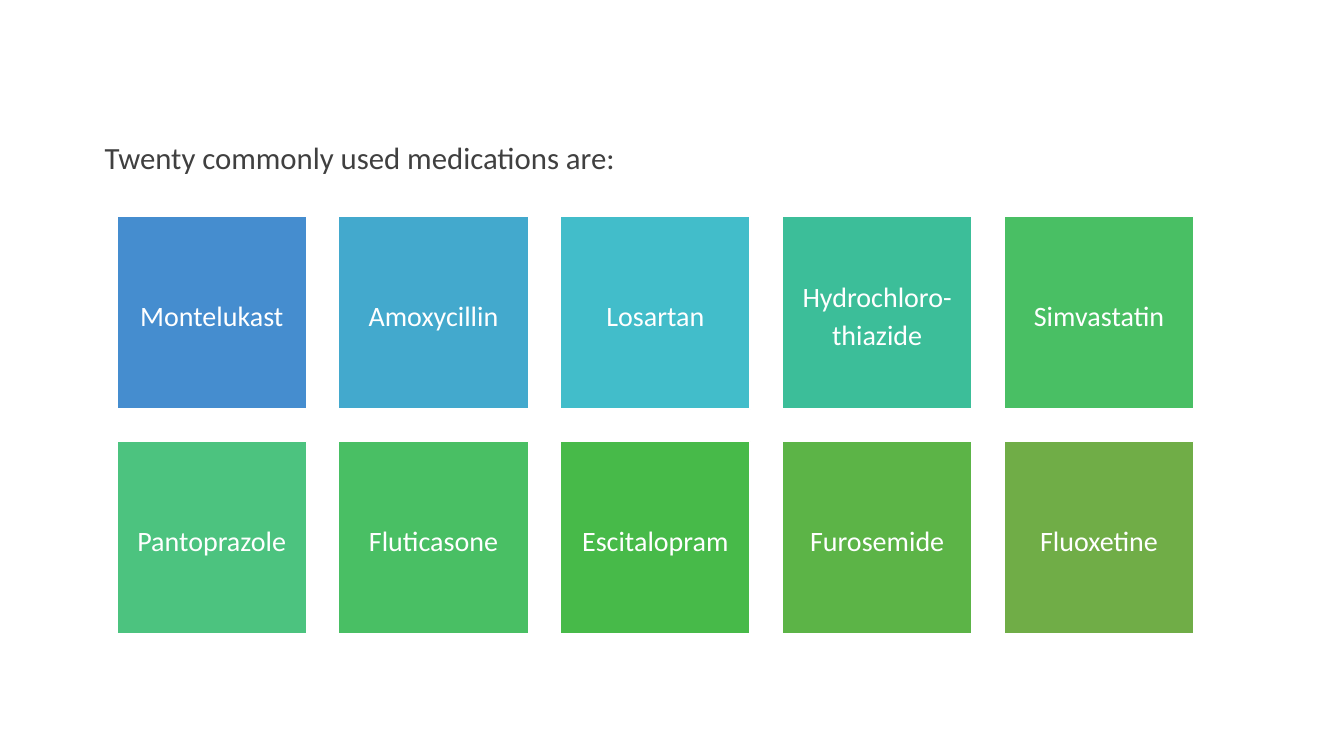
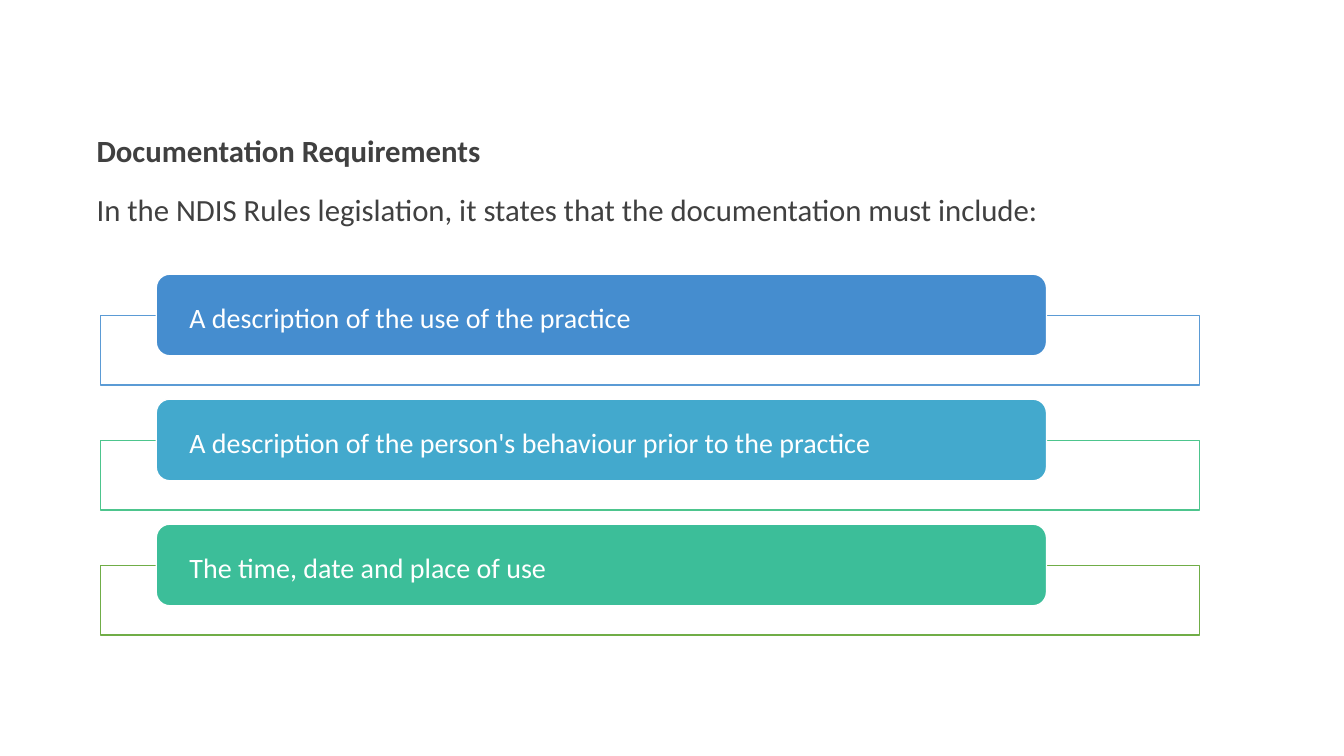
from pptx import Presentation
from pptx.dml.color import RGBColor
from pptx.enum.shapes import MSO_SHAPE
from pptx.enum.text import MSO_ANCHOR, PP_ALIGN
from pptx.util import Pt

RECTANGLE = MSO_SHAPE.RECTANGLE
ROUNDED = MSO_SHAPE.ROUNDED_RECTANGLE
MIDDLE = MSO_ANCHOR.MIDDLE
LEFT, CENTER = PP_ALIGN.LEFT, PP_ALIGN.CENTER

EMU_PER_PX = 9144  # 100 px to the inch
PAGE_WIDTH, PAGE_HEIGHT = 1333, 750
BLANK_LAYOUT = 6

FONT = "Calibri"
WHITE, DARK = "FFFFFF", "404040"
LINE_SPACING = 1.14
BODY = {"size": Pt(22), "name": FONT, "bold": False}
HEADING = {**BODY, "bold": True}
LABEL = {"size": Pt(20), "name": FONT}

MEDICATIONS = [
    ("Montelukast", "458DCF"),
    ("Amoxycillin", "43A9CD"),
    ("Losartan", "42BDCA"),
    ("Hydrochloro-thiazide", "3CBE99"),
    ("Simvastatin", "49BF64"),
    ("Pantoprazole", "4CC37F"),
    ("Fluticasone", "49BF64"),
    ("Escitalopram", "47BA49"),
    ("Furosemide", "5CB447"),
    ("Fluoxetine", "70AD47"),
]
REQUIREMENTS = [
    ("A description of the use of the practice", "458DCF", "5B9BD5"),
    ("A description of the person's behaviour prior to the practice",
     "43A9CD", "4DC58D"),
    ("The time, date and place of use", "3CBE99", "70AD47"),
]


def px(*lengths):
    return [length * EMU_PER_PX for length in lengths]


def rgb(value):
    return RGBColor.from_string(value)


def add_text(para, text, style, color, after, align=LEFT):
    para.alignment = align
    para.line_spacing = LINE_SPACING
    para.space_after = Pt(after)
    span = para.add_run()
    span.text = text
    for name, value in style.items():
        setattr(span.font, name, value)
    span.font.color.rgb = rgb(color)


def add_panel(page, kind, box, fill, line):
    panel = page.shapes.add_shape(kind, *px(*box))
    panel.shadow.inherit = False
    panel.fill.solid()
    panel.fill.fore_color.rgb = rgb(fill)
    panel.line.color.rgb = rgb(line)
    panel.line.width = Pt(1)
    return panel


def add_label(panel, text, align, side, edge):
    """Write white text in a panel, with side and top/bottom insets in px."""
    frame = panel.text_frame
    frame.word_wrap = True
    frame.vertical_anchor = MIDDLE
    frame.margin_left = frame.margin_right = px(side)[0]
    frame.margin_top = frame.margin_bottom = px(edge)[0]
    add_text(frame.paragraphs[0], text, LABEL, WHITE, 6, align)


def add_intro(page, box, lines):
    frame = page.shapes.add_textbox(*px(*box)).text_frame
    frame.word_wrap = True
    for index, (text, style) in enumerate(lines):
        para = frame.add_paragraph() if index else frame.paragraphs[0]
        add_text(para, text, style, DARK, 12)


def add_tile_grid(page, box, items, columns=5, gap_x=32, gap_y=32):
    left, top, width, height = box
    rows = len(items) // columns
    tile_width = (width - gap_x * (columns - 1)) // columns
    tile_height = (height - gap_y * (rows - 1)) // rows
    for index, (text, fill) in enumerate(items):
        row, column = divmod(index, columns)
        tile_box = (left + column * (tile_width + gap_x),
                    top + row * (tile_height + gap_y), tile_width, tile_height)
        tile = add_panel(page, RECTANGLE, tile_box, fill, WHITE)
        add_label(tile, text, CENTER, 8, 8)


def add_requirement_list(page, box, items, pitch=124):
    """Stack outlined frames, each with a rounded bar over its top edge."""
    left, top, width, _ = box
    bar_indent, bar_width, bar_height = 55, 883, 81
    frame_drop, frame_height = 41, 69
    for index, (text, fill, outline) in enumerate(items):
        y = top + index * pitch
        add_panel(page, RECTANGLE, (left, y + frame_drop, width, frame_height),
                  WHITE, outline)
        bar = add_panel(page, ROUNDED,
                        (left + bar_indent, y, bar_width, bar_height), fill, WHITE)
        add_label(bar, text, LEFT, 29, 0)


def build_medications(page):
    add_intro(page, (94, 128, 1103, 60),
              [("Twenty commonly used medications are:", BODY)])
    add_tile_grid(page, (116, 215, 1068, 414), MEDICATIONS)


def build_requirements(page):
    add_intro(page, (86, 121, 1103, 120), [
        ("Documentation Requirements", HEADING),
        ("In the NDIS Rules legislation, it states that the documentation "
         "must include:", BODY),
    ])
    add_requirement_list(page, (100, 272, 1090, 358), REQUIREMENTS)


def main():
    deck = Presentation()
    deck.slide_width, deck.slide_height = px(PAGE_WIDTH, PAGE_HEIGHT)
    for build in (build_medications, build_requirements):
        build(deck.slides.add_slide(deck.slide_layouts[BLANK_LAYOUT]))
    deck.save("out.pptx")


if __name__ == "__main__":
    main()
